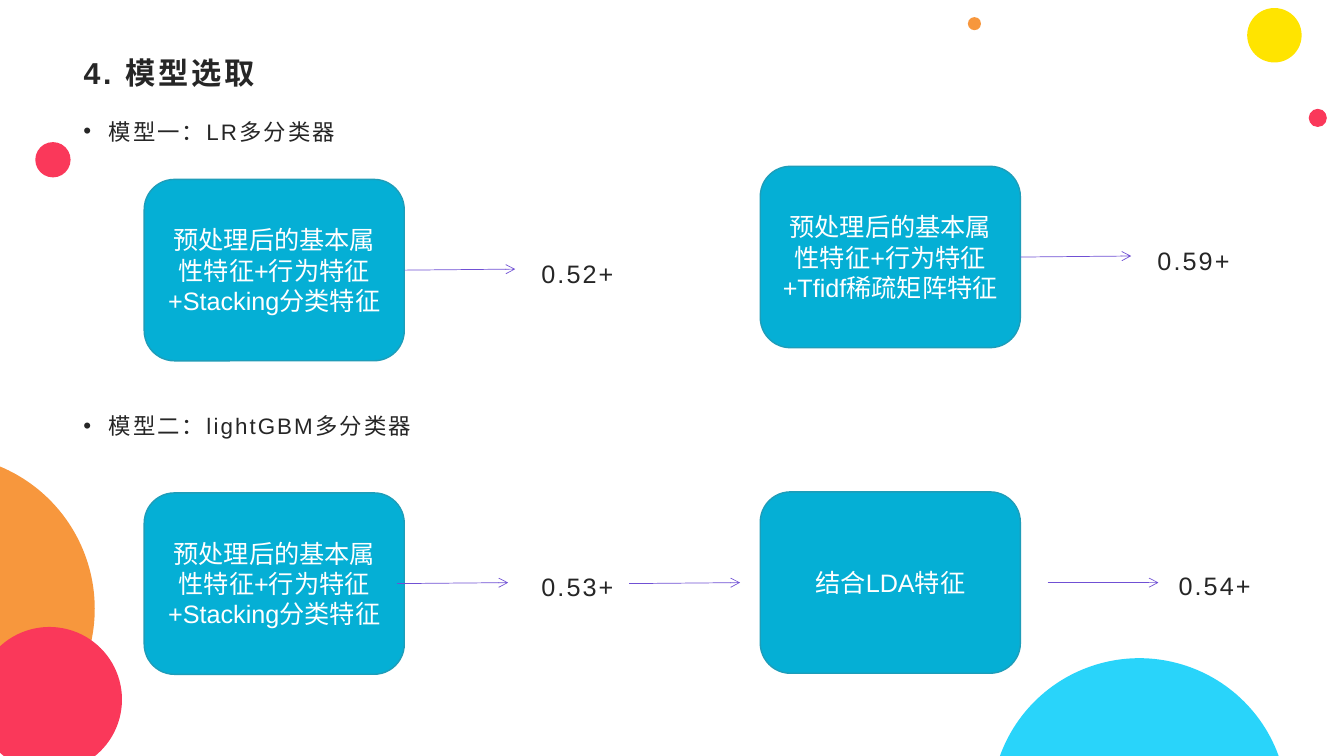
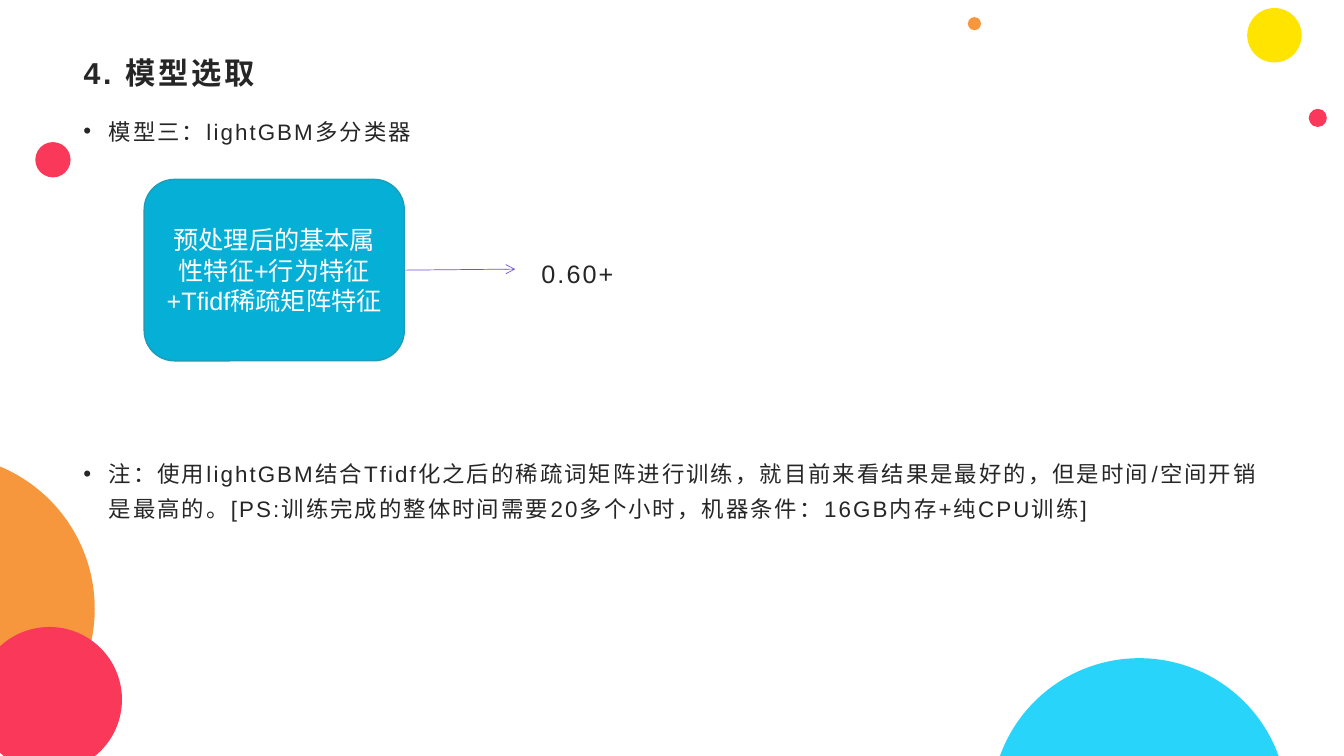
"""Build two slides that compare classifier models and their scores."""
from dataclasses import dataclass

from lxml.etree import SubElement
from pptx import Presentation
from pptx.dml.color import RGBColor
from pptx.enum.shapes import MSO_CONNECTOR, MSO_SHAPE
from pptx.enum.text import MSO_ANCHOR, MSO_AUTO_SIZE, PP_ALIGN
from pptx.oxml.ns import qn
from pptx.presentation import Presentation as Deck
from pptx.shapes.autoshape import Shape
from pptx.slide import Slide
from pptx.text.text import TextFrame, _Paragraph as Paragraph
from pptx.util import Pt

PX = 9144
SLIDE_WIDTH, SLIDE_HEIGHT = 1333, 750
CARD_WIDTH, CARD_HEIGHT = 258, 180
ARROW_LENGTH = 110
BULLET_INDENT = 25


@dataclass(frozen=True)
class Theme:
    font: str = "Arial"
    ink: str = "262626"
    white: str = "FFFFFF"
    card: str = "05AFD5"
    card_edge: str = "1E9DB9"
    arrow: str = "7050D4"
    cyan: str = "29D4FA"
    yellow: str = "FFE400"
    orange: str = "F7973D"
    pink: str = "FA385A"
    title_size: float = 21.6
    bullet_size: float = 16
    card_size: float = 18
    title_tracking: int = 200
    text_tracking: int = 150


@dataclass(frozen=True)
class Disc:
    left: int
    top: int
    diameter: int
    color: str


@dataclass(frozen=True)
class Bullet:
    text: str
    top: int


@dataclass(frozen=True)
class Step:
    text: str
    score: str
    left: int
    top: int
    arrow_offset: int = CARD_WIDTH
    score_offset: int = 383
    arrow_rise: int = 1


@dataclass(frozen=True)
class Arrow:
    left: int
    top: int
    rise: int = 1


@dataclass(frozen=True)
class Page:
    title: str
    bullets: tuple[Bullet, ...]
    steps: tuple[Step, ...]
    links: tuple[Arrow, ...] = ()


THEME = Theme()
DISCS = (
    Disc(983, 653, 294, THEME.cyan),
    Disc(1237, 8, 54, THEME.yellow),
    Disc(960, 17, 13, THEME.orange),
    Disc(1298, 108, 18, THEME.pink),
    Disc(35, 141, 35, THEME.pink),
    Disc(-212, 451, 306, THEME.orange),
    Disc(-23, 622, 144, THEME.pink),
)
TITLE = "4. 模型选取"
STACKING = "预处理后的基本属性特征+行为特征+Stacking分类特征"
TFIDF = "预处理后的基本属性特征+行为特征+Tfidf稀疏矩阵特征"
NOTE = (
    "注：使用lightGBM结合Tfidf化之后的稀疏词矩阵进行训练，就目前来看结果是最好的，"
    "但是时间/空间开销是最高的。[PS:训练完成的整体时间需要20多个小时，"
    "机器条件：16GB内存+纯CPU训练]"
)
PAGES = (
    Page(
        TITLE,
        (Bullet("模型一：LR多分类器", 104), Bullet("模型二：lightGBM多分类器", 396)),
        (
            Step(STACKING, "0.52+", 143, 178),
            Step(TFIDF, "0.59+", 754, 165),
            Step(STACKING, "0.53+", 143, 489, arrow_offset=251),
            Step("结合LDA特征", "0.54+", 754, 488, 285, 404, 0),
        ),
        (Arrow(624, 579),),
    ),
    Page(
        TITLE,
        (Bullet("模型三：lightGBM多分类器", 104), Bullet(NOTE, 444)),
        (Step(TFIDF, "0.60+", 143, 178),),
    ),
)


def px(*lengths: int) -> tuple[int, ...]:
    """Turn px lengths into EMU."""
    return tuple(length * PX for length in lengths)


def rgb(color: str) -> RGBColor:
    """Turn a hex string into a colour."""
    return RGBColor.from_string(color)


def fill_shape(shape: Shape, color: str) -> None:
    """Give a shape a flat fill without outline or shadow."""
    shape.shadow.inherit = False
    shape.fill.solid()
    shape.fill.fore_color.rgb = rgb(color)
    shape.line.fill.background()


def format_runs(
    paragraph: Paragraph, size: float, color: str, tracking: int = 0, bold: bool = False
) -> None:
    """Format every run of a paragraph."""
    for run in paragraph.runs:
        run.font.name = THEME.font
        run.font.size = Pt(size)
        run.font.bold = bold
        run.font.color.rgb = rgb(color)
        run.font._element.set("spc", str(tracking))


def set_margins(text_frame: TextFrame, horizontal: int, vertical: int) -> None:
    """Set the inner margins of a text frame."""
    text_frame.margin_left = text_frame.margin_right = horizontal * PX
    text_frame.margin_top = text_frame.margin_bottom = vertical * PX


def add_disc(slide: Slide, disc: Disc) -> None:
    """Draw a decorative disc that may bleed over the slide edge."""
    box = px(disc.left, disc.top, disc.diameter, disc.diameter)
    fill_shape(slide.shapes.add_shape(MSO_SHAPE.OVAL, *box), disc.color)


def set_title(slide: Slide, text: str) -> None:
    """Place and format the title placeholder."""
    title = slide.shapes.title
    title.left, title.top, title.width, title.height = px(73, 48, 1187, 48)
    text_frame = title.text_frame
    text_frame.text = text
    text_frame.auto_size = MSO_AUTO_SIZE.NONE
    text_frame.vertical_anchor = MSO_ANCHOR.MIDDLE
    set_margins(text_frame, 10, 5)
    paragraph = text_frame.paragraphs[0]
    paragraph.alignment = PP_ALIGN.LEFT
    format_runs(paragraph, THEME.title_size, THEME.ink, THEME.title_tracking, True)


def add_text(
    slide: Slide, text: str, box: tuple[int, ...], margins: tuple[int, int], size: float
) -> Paragraph:
    """Add a wrapped text box and return its paragraph."""
    text_frame = slide.shapes.add_textbox(*px(*box)).text_frame
    text_frame.text = text
    text_frame.word_wrap = True
    set_margins(text_frame, *margins)
    paragraph = text_frame.paragraphs[0]
    paragraph.line_spacing = 1.3
    format_runs(paragraph, size, THEME.ink, THEME.text_tracking)
    return paragraph


def add_bullet(slide: Slide, bullet: Bullet) -> None:
    """Add a bulleted statement."""
    box = (73, bullet.top, 1187, 90)
    paragraph = add_text(slide, bullet.text, box, (10, 5), THEME.bullet_size)
    properties = paragraph._p.get_or_add_pPr()
    properties.set("marL", str(BULLET_INDENT * PX))
    properties.set("indent", str(-BULLET_INDENT * PX))
    SubElement(properties, qn("a:buFont")).set("typeface", THEME.font)
    SubElement(properties, qn("a:buChar")).set("char", "•")


def add_card(slide: Slide, step: Step) -> None:
    """Add the rounded card that names the features."""
    card = slide.shapes.add_shape(
        MSO_SHAPE.ROUNDED_RECTANGLE, *px(step.left, step.top, CARD_WIDTH, CARD_HEIGHT)
    )
    fill_shape(card, THEME.card)
    card.line.color.rgb = rgb(THEME.card_edge)
    card.line.width = Pt(1)
    text_frame = card.text_frame
    text_frame.text = step.text
    text_frame.word_wrap = True
    text_frame.vertical_anchor = MSO_ANCHOR.MIDDLE
    paragraph = text_frame.paragraphs[0]
    paragraph.alignment = PP_ALIGN.CENTER
    format_runs(paragraph, THEME.card_size, THEME.white)


def add_arrow(slide: Slide, arrow: Arrow) -> None:
    """Add a thin arrow that points right."""
    ends = px(arrow.left, arrow.top, arrow.left + ARROW_LENGTH, arrow.top - arrow.rise)
    connector = slide.shapes.add_connector(MSO_CONNECTOR.STRAIGHT, *ends)
    connector.line.color.rgb = rgb(THEME.arrow)
    connector.line.width = Pt(0.5)
    SubElement(connector.line._get_or_add_ln(), qn("a:tailEnd")).set("type", "arrow")
    SubElement(connector._element.spPr, qn("a:effectLst"))


def add_step(slide: Slide, step: Step) -> None:
    """Add a card, its arrow and its score."""
    add_card(slide, step)
    middle = step.top + CARD_HEIGHT // 2
    add_arrow(slide, Arrow(step.left + step.arrow_offset, middle, step.arrow_rise))
    box = (step.left + step.score_offset, step.top + 69, 123, 42)
    add_text(slide, step.score, box, (11, 0), THEME.card_size)


def add_page(presentation: Deck, page: Page) -> None:
    """Add one slide with its decoration and content."""
    slide = presentation.slides.add_slide(presentation.slide_layouts[5])
    for disc in DISCS:
        add_disc(slide, disc)
    set_title(slide, page.title)
    for bullet in page.bullets:
        add_bullet(slide, bullet)
    for step in page.steps:
        add_step(slide, step)
    for link in page.links:
        add_arrow(slide, link)


def main() -> None:
    """Build and save the presentation."""
    presentation = Presentation()
    presentation.slide_width, presentation.slide_height = px(SLIDE_WIDTH, SLIDE_HEIGHT)
    for page in PAGES:
        add_page(presentation, page)
    presentation.save("out.pptx")


if __name__ == "__main__":
    main()
